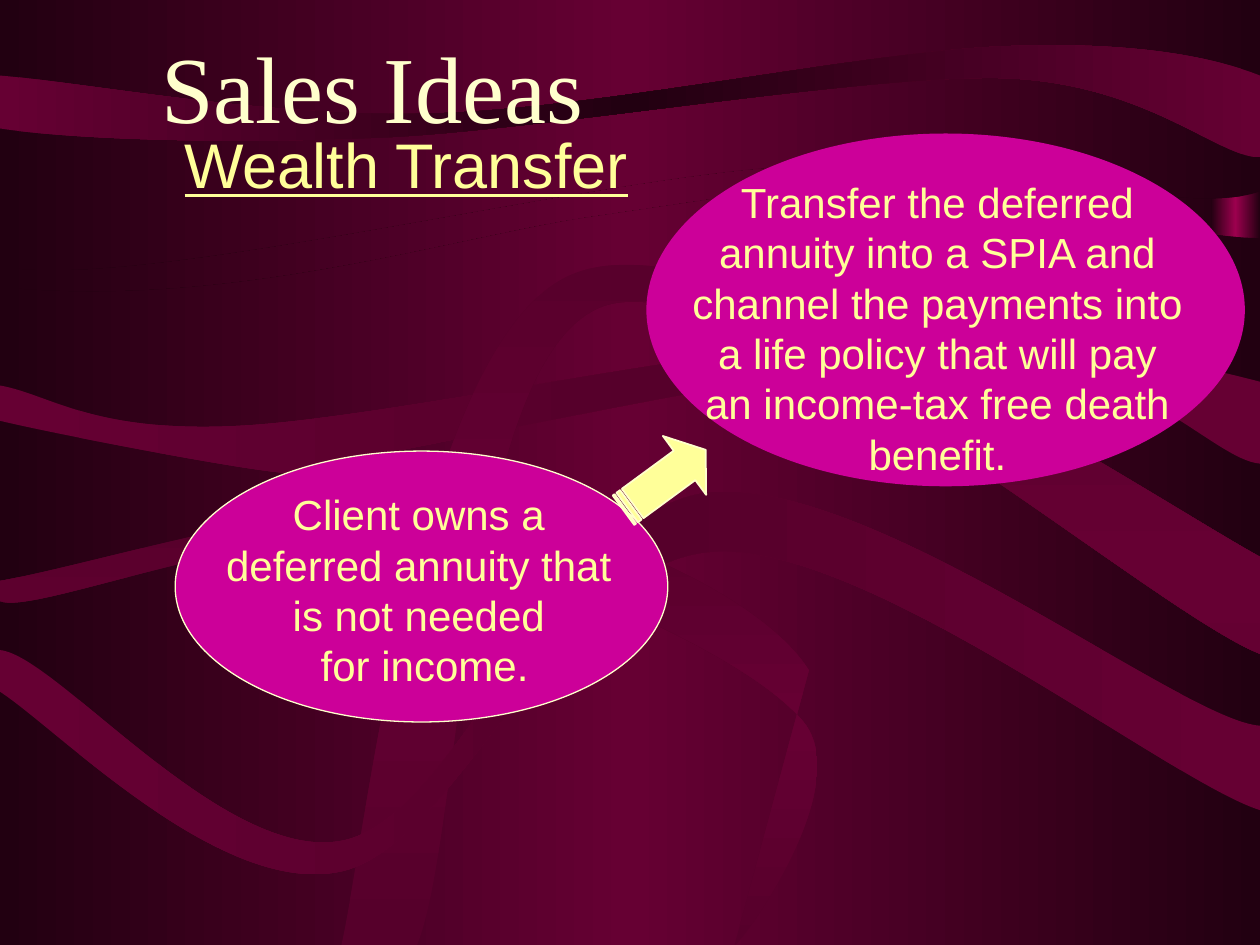
from copy import deepcopy
from dataclasses import dataclass

from lxml.etree import SubElement
from pptx import Presentation
from pptx.dml.color import RGBColor
from pptx.enum.shapes import MSO_SHAPE as Preset
from pptx.enum.text import MSO_ANCHOR as Anchor, MSO_AUTO_SIZE as AutoSize, PP_ALIGN as Align
from pptx.oxml.ns import qn
from pptx.util import Pt

EMU_PER_PX = 9144  # 100 px to the inch


@dataclass(frozen=True)
class Theme:
    night: str = "220011"
    wine: str = "660033"
    plum: str = "56002B"
    ruby: str = "9C004E"
    magenta: str = "CC0099"
    cream: str = "FFFFCC"
    yellow: str = "FFFF99"
    serif: str = "Times New Roman"
    sans: str = "Arial"
    title_size: int = 54
    subtitle_size: int = 36
    body_size: int = 24


def px(value):
    return round(value * EMU_PER_PX)


class SlideBuilder:
    def __init__(self, slide, theme):
        self.slide = slide
        self.theme = theme

    def gradient(self, fill, element, edge, middle, angle=0):
        """Fade from the edge colour to the middle colour and back."""
        fill.gradient()
        fill.gradient_angle = angle
        first, last = fill.gradient_stops
        first.color.rgb = RGBColor.from_string(middle)
        first.position = 0.5
        last.color.rgb = RGBColor.from_string(edge)
        last.position = 1
        stops = element.xpath(".//a:gsLst")[0]
        start = deepcopy(stops[-1])
        start.set("pos", "0")
        stops.insert(0, start)

    def background(self, edge, middle):
        self.gradient(self.slide.background.fill, self.slide.element, edge, middle)

    def band(self, box, edge, middle):
        shape = self.preset(Preset.RECTANGLE, box, middle)
        self.gradient(shape.fill, shape.element, edge, middle)

    def ribbon(self, start, segments, edge, middle, angle=0):
        """Segments of two numbers are lines, those of six are curves."""
        points = [
            (px(x), px(y)) for segment in segments for x, y in zip(segment[::2], segment[1::2])
        ]
        builder = self.slide.shapes.build_freeform(px(start[0]), px(start[1]))
        builder.add_line_segments(points, close=True)
        shape = builder.convert_to_shape()
        self.bend(shape, segments)
        shape.shadow.inherit = False
        shape.line.fill.background()
        self.gradient(shape.fill, shape.element, edge, middle, angle)

    def bend(self, shape, segments):
        """Join the three points of each curve into one Bézier step."""
        steps = iter(shape.element.xpath(".//a:path/a:lnTo"))
        for segment in segments:
            step = next(steps)
            if len(segment) == 6:
                step.tag = qn("a:cubicBezTo")
                for extra in (next(steps), next(steps)):
                    step.append(extra[0])
                    extra.getparent().remove(extra)

    def preset(self, kind, box, fill, line_width=0, rotation=0):
        shape = self.slide.shapes.add_shape(kind, *map(px, box))
        shape.shadow.inherit = False
        shape.rotation = rotation
        shape.fill.solid()
        shape.fill.fore_color.rgb = RGBColor.from_string(fill)
        if line_width:
            shape.line.color.rgb = RGBColor.from_string(self.theme.cream)
            shape.line.width = Pt(line_width)
        else:
            shape.line.fill.background()
        return shape

    def text(self, box, wording, color, font, frame=None, paragraph=None, shadow=False):
        text_frame = self.slide.shapes.add_textbox(*map(px, box)).text_frame
        first = text_frame.paragraphs[0]
        first.text = wording
        formats = [(text_frame, {"word_wrap": True, **(frame or {})}), (first, paragraph or {})]
        formats += [(run.font, font) for run in first.runs]
        for target, values in formats:
            for name, value in values.items():
                setattr(target, name, value)
        for run in first.runs:
            run.font.color.rgb = RGBColor.from_string(color)
            if shadow:
                self.text_shadow(run)

    def text_shadow(self, run):
        properties = run.font._element
        effects = SubElement(properties, qn("a:effectLst"))
        outer = SubElement(effects, qn("a:outerShdw"), dist="35921", dir="2700000")
        SubElement(outer, qn("a:srgbClr"), val="000000")
        properties.find(qn("a:solidFill")).addnext(effects)


def main():
    theme = Theme()
    presentation = Presentation()
    presentation.slide_width, presentation.slide_height = px(1000), px(750)
    slide = presentation.slides.add_slide(presentation.slide_layouts[6])
    builder = SlideBuilder(slide, theme)

    # Backdrop: gradient, side band and flowing ribbons
    builder.background(theme.night, theme.wine)
    builder.band((961, 49, 39, 345), theme.night, theme.ruby)
    ribbons = [
        # upper field
        ((0, 0), [(1000, 0), (1000, 152), (938, 174, 792, 122, 625, 132),
                  (458, 142, 104, 233, 0, 211)], theme.night, theme.wine),
        # lower field
        ((0, 228), [(178, 245, 340, 194, 458, 174), (458, 174, 567, 158, 586, 155),
                    (715, 127, 917, 189, 1000, 189), (1000, 750), (0, 750)],
         theme.night, theme.wine),
        # top ribbon
        ((0, 60), [(0, 102), (51, 110, 176, 115, 308, 109), (440, 102, 679, 60, 794, 62),
                   (909, 65, 966, 125, 1000, 125), (1000, 60), (965, 46, 901, 32, 792, 37),
                   (682, 42, 477, 86, 345, 90), (213, 94, 72, 66, 0, 60)],
         theme.wine, theme.night),
        # middle ribbon
        ((0, 306), [(0, 334), (37, 343, 175, 370, 222, 375), (269, 380, 190, 379, 282, 364),
                    (375, 348, 660, 282, 780, 283), (900, 283, 963, 365, 1000, 368),
                    (1000, 303), (950, 290, 836, 263, 701, 269),
                    (566, 274, 307, 332, 190, 338), (73, 344, 40, 313, 0, 306)],
         theme.wine, theme.plum),
        # rising arch
        ((271, 750), [(291, 661, 332, 269, 454, 218), (575, 166, 909, 392, 1000, 442),
                      (1000, 519), (913, 485, 591, 205, 479, 243),
                      (368, 282, 366, 666, 331, 750)], theme.plum, theme.wine, 90),
        # bottom wave
        ((0, 516), [(0, 549), (45, 578, 174, 711, 269, 692), (363, 674, 443, 446, 565, 438),
                    (687, 429, 927, 620, 1000, 643), (1000, 576),
                    (938, 572, 691, 377, 562, 391), (441, 406, 367, 646, 273, 667),
                    (179, 687, 45, 520, 0, 516)], theme.wine, theme.plum),
        # falling curl
        ((0, 461), [(0, 477), (26, 489, 208, 413, 314, 428), (420, 444, 592, 518, 637, 572),
                    (682, 625, 582, 757, 583, 750), (642, 532),
                    (606, 474, 473, 413, 366, 401), (259, 389, 76, 448, 0, 461)],
         theme.plum, theme.wine, 90),
    ]
    for ribbon in ribbons:
        builder.ribbon(*ribbon)

    # Two steps joined by a striped arrow
    builder.preset(Preset.OVAL, (139, 358, 391, 215), theme.magenta, 0.75)
    builder.preset(Preset.OVAL, (513, 106, 475, 280), theme.magenta)
    arrow = builder.preset(Preset.STRIPED_RIGHT_ARROW, (487, 352, 81, 58), theme.yellow, 1, 323.7)
    arrow.adjustments[1] = 0.36

    # Step wording
    body_font = {"name": theme.sans, "size": Pt(theme.body_size)}
    grow = {"auto_size": AutoSize.SHAPE_TO_FIT_TEXT}
    centred = {"alignment": Align.CENTER}
    steps = [
        ((538, 135, 412, 250), "Transfer the deferred annuity into a SPIA and channel the payments "
                               "into a life policy that will pay an income-tax free death benefit."),
        ((147, 383, 380, 170),
         "Client owns a \vdeferred annuity that \vis not needed \vfor income."),
    ]
    for box, wording in steps:
        builder.text(box, wording, theme.yellow, body_font, grow,
                     {**centred, "space_before": Pt(15)}, shadow=True)

    # Headings
    builder.text((135, 95, 375, 70), "Wealth Transfer", theme.yellow,
                 {"name": theme.sans, "size": Pt(theme.subtitle_size), "underline": True},
                 {**grow, "word_wrap": False, "vertical_anchor": Anchor.MIDDLE}, centred)
    builder.text((118, 18, 734, 78), "Sales Ideas", theme.cream,
                 {"name": theme.serif, "size": Pt(theme.title_size)})

    presentation.save("out.pptx")


if __name__ == "__main__":
    main()
